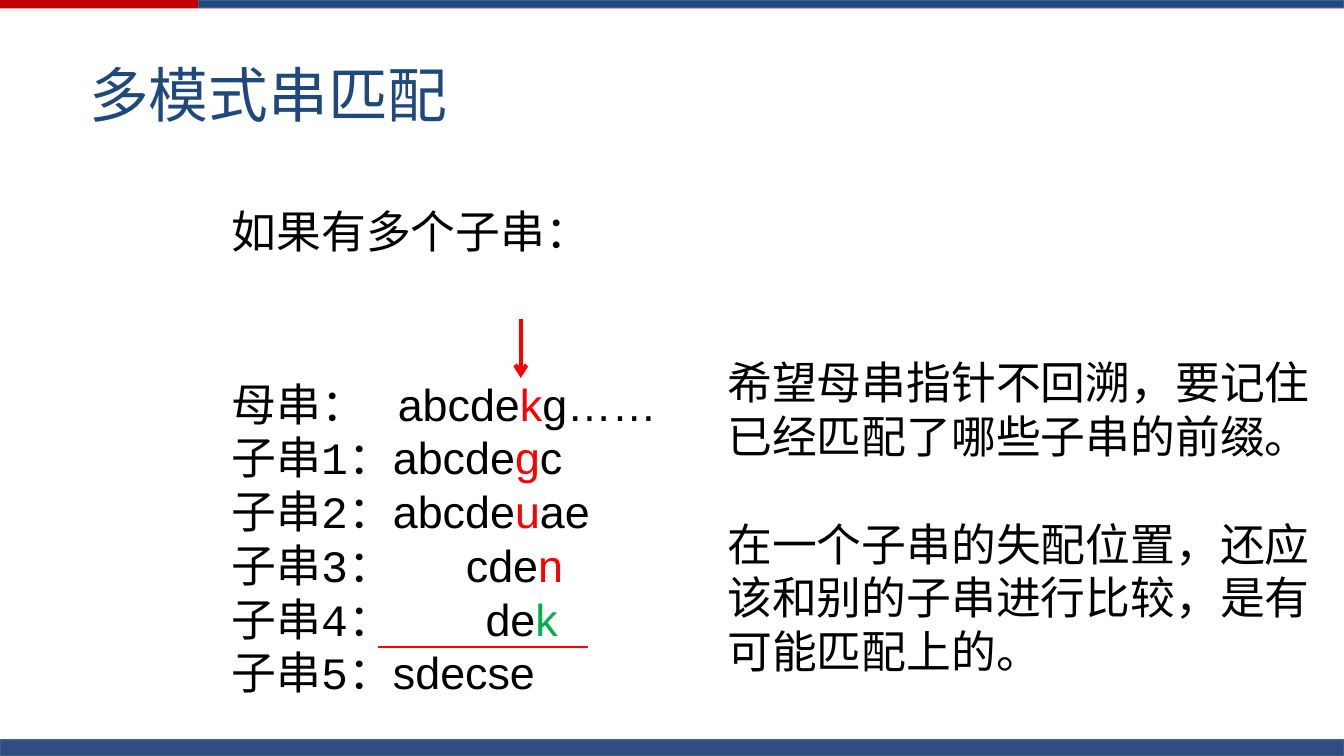
import pptx
import pptx.dml.color
import pptx.enum.shapes
import pptx.enum.text
import pptx.oxml.ns
import pptx.util
from lxml import etree

Pt = pptx.util.Pt
RGBColor = pptx.dml.color.RGBColor
qn = pptx.oxml.ns.qn

BLACK = RGBColor(0x00, 0x00, 0x00)
RED = RGBColor(0xFF, 0x00, 0x00)
GREEN = RGBColor(0x00, 0xB0, 0x50)
DARK_RED = RGBColor(0xC0, 0x00, 0x00)
BLUE = RGBColor(0x1F, 0x49, 0x7D)
NAVY = RGBColor(0x00, 0x20, 0x60)
EDGE = RGBColor(0x3A, 0x5F, 0x8C)

WIDTH, HEIGHT = 720, 405
LABEL_FONT, STRING_FONT = "Courier New", "Arial"
LINE_PITCH = 29


class MatchingSlide:
    """Holds the text style and the slide being filled."""

    def __init__(self, slide, size=24):
        self.slide = slide
        self.size = size

    def bar(self, left, top, width, height, color, edge=None, opacity=None):
        bar = self.slide.shapes.add_shape(
            pptx.enum.shapes.MSO_SHAPE.RECTANGLE,
            Pt(left), Pt(top), Pt(width), Pt(height))
        bar.shadow.inherit = False
        bar.fill.solid()
        bar.fill.fore_color.rgb = color
        if opacity is not None:
            tint = bar.fill._xPr.find(qn("a:solidFill"))[0]
            etree.SubElement(tint, qn("a:alpha"), val=str(opacity * 1000))
        if edge is None:
            bar.line.fill.background()
        else:
            bar.line.color.rgb = edge
            bar.line.width = Pt(0)

    def title(self, text, left, top, width, height):
        title = self.slide.shapes.title
        title.left, title.top = Pt(left), Pt(top)
        title.width, title.height = Pt(width), Pt(height)
        title.text_frame.auto_size = pptx.enum.text.MSO_AUTO_SIZE.NONE
        title.text_frame.vertical_anchor = pptx.enum.text.MSO_ANCHOR.MIDDLE
        title.text_frame.text = text
        heading = title.text_frame.paragraphs[0]
        heading.alignment = pptx.enum.text.PP_ALIGN.LEFT
        self.style(heading.font, LABEL_FONT, BLUE, 32)

    def style(self, font, name, color, size=None):
        font.name = name
        font.color.rgb = color
        font.size = Pt(size or self.size)

    def text_frame(self, left, top, width, height):
        box = self.slide.shapes.add_textbox(
            Pt(left), Pt(top), Pt(width), Pt(height))
        box.text_frame.word_wrap = True
        box.text_frame.auto_size = pptx.enum.text.MSO_AUTO_SIZE.SHAPE_TO_FIT_TEXT
        return box.text_frame

    def paragraph(self, frame, index):
        return frame.paragraphs[0] if index == 0 else frame.add_paragraph()

    def prose(self, texts, *place, gap=0):
        frame = self.text_frame(*place)
        for index, text in enumerate(texts):
            paragraph = self.paragraph(frame, index)
            paragraph.add_run().text = text
            if index:
                paragraph.space_before = Pt(gap)
            self.style(paragraph.font, LABEL_FONT, BLACK)

    def strings(self, rows, *place):
        """Each row: label, tab position or None, then matched, marked, rest."""
        frame = self.text_frame(*place)
        for index, (label, tab, matched, marked, mark, rest) in enumerate(rows):
            paragraph = self.paragraph(frame, index)
            if tab:
                tabs = etree.SubElement(
                    paragraph._p.get_or_add_pPr(), qn("a:tabLst"))
                etree.SubElement(
                    tabs, qn("a:tab"), pos=str(int(Pt(tab))), algn="l")
                label += "\t"
            for text, font, color in (
                    (label, LABEL_FONT, BLACK), (matched, STRING_FONT, BLACK),
                    (marked, STRING_FONT, mark), (rest, STRING_FONT, BLACK)):
                if text:
                    run = paragraph.add_run()
                    run.text = text
                    self.style(run.font, font, color)

    def line(self, x1, y1, x2, y2, weight, arrow=False):
        line = self.slide.shapes.add_connector(
            pptx.enum.shapes.MSO_CONNECTOR.STRAIGHT,
            Pt(x1), Pt(y1), Pt(x2), Pt(y2))
        line.line.color.rgb = RED
        line.line.width = Pt(weight)
        if arrow:
            etree.SubElement(
                line.line._get_or_add_ln(), qn("a:tailEnd"), type="arrow")
        etree.SubElement(line._element.spPr, qn("a:effectLst"))


def main():
    deck = pptx.Presentation()
    deck.slide_width, deck.slide_height = Pt(WIDTH), Pt(HEIGHT)
    title_only = deck.slide_layouts[5]
    page = MatchingSlide(deck.slides.add_slide(title_only))

    page.bar(0, 0, WIDTH, 4.5, DARK_RED)
    page.bar(106.5, 0, WIDTH - 106.5, 4, BLUE, EDGE)
    page.bar(0, 396.5, WIDTH, 8.5, NAVY, EDGE, opacity=80)

    page.title("多模式串匹配", 40.5, 18.75, 658, 62.5)
    page.prose(["如果有多个子串："], 117, 105.5, 495, 36.5)
    page.strings([
        ("母串：", 89, "abcde", "k", RED, "g……"),
        ("子串1：", None, "abcde", "g", RED, "c"),
        ("子串2：", None, "abcde", "u", RED, "ae"),
        ("子串3：", 125.5, "cde", "n", RED, ""),
        ("子串4：", 136, "de", "k", GREEN, ""),
        ("子串5：", None, "sdecse", "", BLACK, ""),
    ], 117, 198, 472.5, 181.5)
    page.line(279, 171, 279, 202.5, 2.25, arrow=True)
    page.line(202.5, 346.5, 315, 346.5, 1.25)
    page.prose([
        "希望母串指针不回溯，要记住已经匹配了哪些子串的前缀。",
        "在一个子串的失配位置，还应该和别的子串进行比较，是有可能匹配上的。",
    ], 382.5, 186.5, 330.5, 181.5, gap=LINE_PITCH)

    deck.save("out.pptx")


if __name__ == "__main__":
    main()
